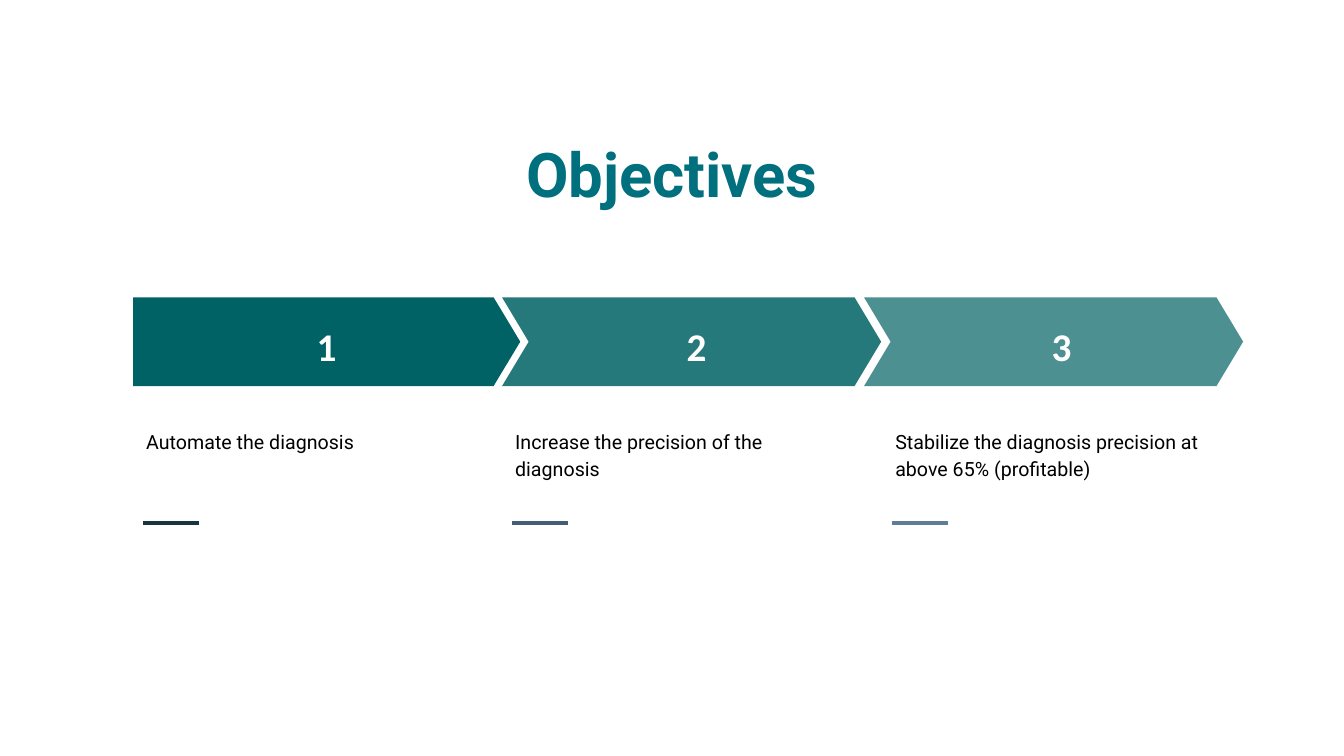
"""Build the Objectives slide: three numbered arrows with captions."""
from dataclasses import dataclass

from lxml.etree import SubElement
from pptx import Presentation
from pptx.dml.color import RGBColor
from pptx.enum.shapes import MSO_CONNECTOR, MSO_SHAPE
from pptx.enum.text import MSO_ANCHOR, PP_ALIGN
from pptx.oxml.ns import qn
from pptx.slide import Slide
from pptx.util import Inches, Pt

TEAL = RGBColor(0x00, 0x62, 0x64)
TITLE_TEAL = RGBColor(0x00, 0x6F, 0x7E)
WHITE = RGBColor(0xFF, 0xFF, 0xFF)
BLACK = RGBColor(0x00, 0x00, 0x00)
NAVY = RGBColor(0x19, 0x34, 0x41)
SLATE = RGBColor(0x43, 0x5D, 0x74)
STEEL = RGBColor(0x5F, 0x7D, 0x95)

ARROW_TOP, ARROW_HEIGHT, ARROW_POINT = 2.95, 0.88, 0.3
NUMBER_TOP, NUMBER_WIDTH, NUMBER_HEIGHT = 3.07, 2, 0.65
CAPTION_TOP, CAPTION_WIDTH, CAPTION_HEIGHT = 4.1, 3.43, 1
RULE_TOP, RULE_INDENT, RULE_LENGTH = 5.19, 0.1, 0.55
INSET = Inches(0.13)

TITLE_FONT = {"name": "Roboto", "size": Pt(44), "bold": True}
NUMBER_FONT = {"name": "Calibri", "size": Pt(28), "bold": True}
CAPTION_FONT = {"name": "Roboto", "size": Pt(14), "bold": False}
CENTERED = {"alignment": PP_ALIGN.CENTER}
SPACED = {"line_spacing": 1.14}


@dataclass(frozen=True)
class Objective:
    """One step with its arrow, number, caption and rule."""

    number: str
    caption: str
    outline: MSO_SHAPE
    opacity: int
    arrow_left: float
    arrow_width: float
    number_left: float
    caption_left: float
    rule_color: RGBColor


OBJECTIVES = [
    Objective("1", "Automate the diagnosis", MSO_SHAPE.PENTAGON, 100,
              1.32, 3.84, 2.24, 1.32, NAVY),
    Objective("2", "Increase the precision of the diagnosis", MSO_SHAPE.CHEVRON, 85,
              4.98, 3.76, 5.91, 4.98, SLATE),
    Objective("3", "Stabilize the diagnosis precision at above 65% (profitable)",
              MSO_SHAPE.CHEVRON, 70, 8.57, 3.76, 9.53, 8.75, STEEL),
]


def add_text(slide: Slide, text: str, box: tuple[float, float, float, float],
             font_format: dict, color: RGBColor, paragraph_format: dict,
             anchor: MSO_ANCHOR = MSO_ANCHOR.MIDDLE) -> None:
    """Add a wrapped text box holding one formatted paragraph."""
    shape = slide.shapes.add_textbox(*map(Inches, box))
    frame = shape.text_frame
    frame_format = {"word_wrap": True, "vertical_anchor": anchor}
    for side in ("left", "top", "right", "bottom"):
        frame_format[f"margin_{side}"] = INSET
    paragraph = frame.paragraphs[0]
    run = paragraph.add_run()
    run.text = text
    for target, values in ((frame, frame_format), (paragraph, paragraph_format),
                           (run.font, font_format)):
        for name, value in values.items():
            setattr(target, name, value)
    run.font.color.rgb = color


def add_arrow(slide: Slide, objective: Objective) -> None:
    """Add the teal arrow of an objective at its opacity."""
    shape = slide.shapes.add_shape(
        objective.outline, Inches(objective.arrow_left), Inches(ARROW_TOP),
        Inches(objective.arrow_width), Inches(ARROW_HEIGHT))
    shape.adjustments[0] = ARROW_POINT
    shape.shadow.inherit = False
    shape.fill.solid()
    shape.fill.fore_color.rgb = TEAL
    shape.line.fill.background()
    if objective.opacity < 100:
        color = shape.fill._xPr.find(f".//{qn('a:srgbClr')}")
        SubElement(color, qn("a:alpha"), val=str(objective.opacity * 1000))


def add_rule(slide: Slide, objective: Objective) -> None:
    """Add the short coloured rule under a caption."""
    left = objective.caption_left + RULE_INDENT
    connector = slide.shapes.add_connector(
        MSO_CONNECTOR.STRAIGHT, Inches(left), Inches(RULE_TOP),
        Inches(left + RULE_LENGTH), Inches(RULE_TOP))
    connector.line.color.rgb = objective.rule_color
    connector.line.width = Pt(3)
    SubElement(connector.line._get_or_add_ln().getparent(), qn("a:effectLst"))


def add_objective(slide: Slide, objective: Objective) -> None:
    """Draw every part of one objective."""
    add_arrow(slide, objective)
    add_text(slide, objective.number,
             (objective.number_left, NUMBER_TOP, NUMBER_WIDTH, NUMBER_HEIGHT),
             NUMBER_FONT, WHITE, CENTERED | SPACED)
    add_text(slide, objective.caption,
             (objective.caption_left, CAPTION_TOP, CAPTION_WIDTH, CAPTION_HEIGHT),
             CAPTION_FONT, BLACK, SPACED, MSO_ANCHOR.TOP)
    add_rule(slide, objective)


def main() -> None:
    """Build and save the presentation."""
    presentation = Presentation()
    presentation.slide_width = Inches(13.33)
    presentation.slide_height = Inches(7.5)
    slide = presentation.slides.add_slide(presentation.slide_layouts[6])
    add_text(slide, "Objectives", (1.16, 1.3, 11.01, 0.84),
             TITLE_FONT, TITLE_TEAL, CENTERED)
    for objective in OBJECTIVES:
        add_objective(slide, objective)
    presentation.save("out.pptx")


if __name__ == "__main__":
    main()
